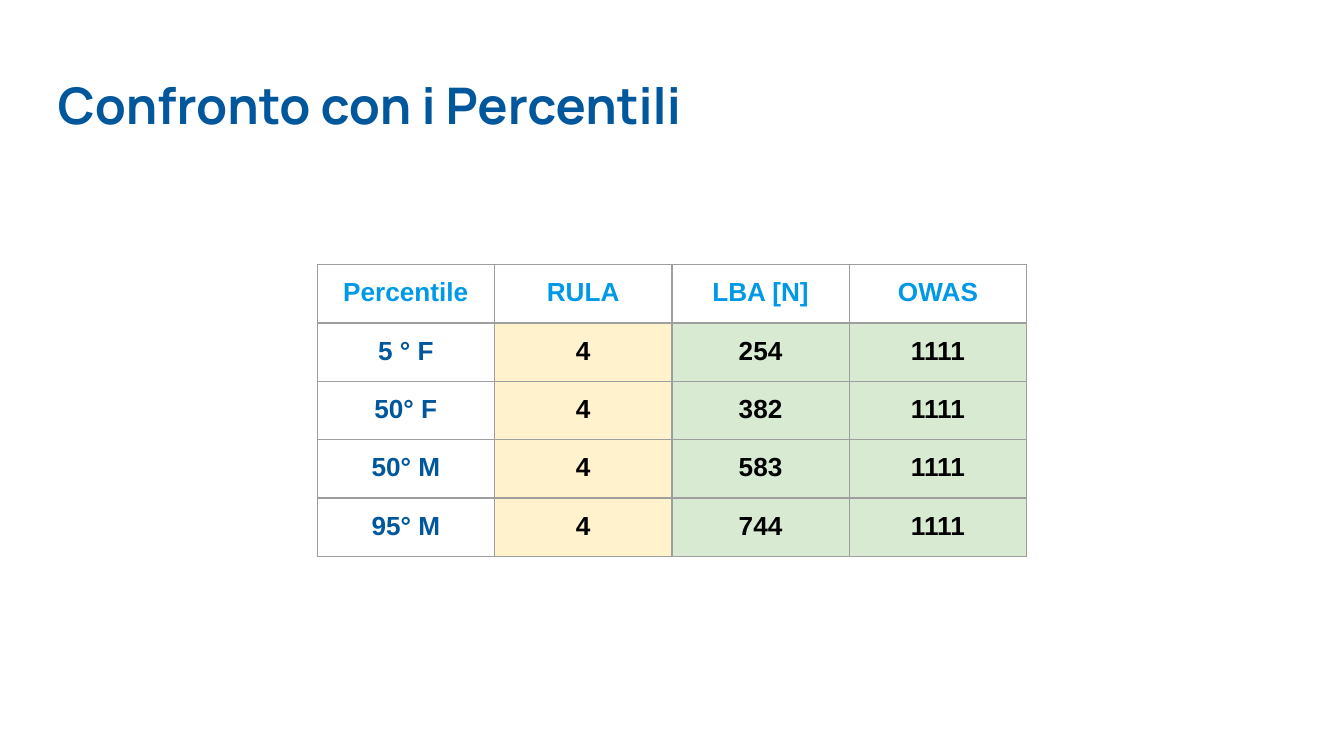
from lxml.etree import SubElement
from pptx import Presentation
from pptx.dml.color import RGBColor as RGB
from pptx.enum.text import MSO_ANCHOR as Anchor, PP_ALIGN as Align
from pptx.oxml.ns import qn
from pptx.util import Inches, Pt

THEME = {
    "title_font": "Manrope", "title_size": 27,
    "table_font": "Arial", "table_size": 14,
    "navy": "01579B", "sky": "0099E8", "black": "000000",
    "amber": "FFF2CC", "green": "D9EAD3",
    "border": "9E9E9E", "border_width": 0.75,
}
PADDING = Inches(0.1)


def write(frame, text, *, font, size, color, align=Align.LEFT):
    paragraph = frame.paragraphs[0]
    paragraph.alignment = align
    paragraph.line_spacing = 1.0
    run = paragraph.add_run()
    run.text = text
    run.font.name, run.font.size, run.font.bold = font, Pt(size), True
    run.font.color.rgb = RGB.from_string(color)


def draw_borders(cell):
    properties = cell._tc.get_or_add_tcPr()
    for position, side in enumerate(("a:lnL", "a:lnR", "a:lnT", "a:lnB")):
        line = SubElement(properties, qn(side), w=str(Pt(THEME["border_width"])))
        fill = SubElement(line, qn("a:solidFill"))
        SubElement(fill, qn("a:srgbClr"), val=THEME["border"])
        properties.insert(position, line)  # borders come before the cell fill


# Widescreen slide, 16:9
deck = Presentation()
deck.slide_width = Inches(10)
deck.slide_height = deck.slide_width * 9 // 16
slide = deck.slides.add_slide(deck.slide_layouts[6])

# Title
heading = slide.shapes.add_textbox(
    Inches(0.33), Inches(0.45), Inches(9.32), Inches(0.7)).text_frame
heading.word_wrap = True
heading.margin_left = heading.margin_right = PADDING
heading.margin_top = heading.margin_bottom = PADDING
write(heading, "Confronto con i Percentili", font=THEME["title_font"],
      size=THEME["title_size"], color=THEME["navy"])

# Ergonomic scores by percentile, centred across the slide
scores = [
    ("Percentile", "RULA", "LBA [N]", "OWAS"),
    ("5 ° F", "4", "254", "1111"),
    ("50° F", "4", "382", "1111"),
    ("50° M", "4", "583", "1111"),
    ("95° M", "4", "744", "1111"),
]
column_fills = (None, THEME["amber"], THEME["green"], THEME["green"])
column_width, row_height = Inches(1.32), Pt(30)
table_width = column_width * len(column_fills)
table = slide.shapes.add_table(
    len(scores), len(column_fills), (deck.slide_width - table_width) // 2,
    Inches(1.97), table_width, row_height * len(scores)).table
table.first_row = table.horz_banding = False
for column in table.columns:
    column.width = column_width

for r, row_scores in enumerate(scores):
    table.rows[r].height = row_height
    for c, score in enumerate(row_scores):
        cell = table.cell(r, c)
        cell.margin_left = cell.margin_right = PADDING
        cell.margin_top = cell.margin_bottom = PADDING
        cell.vertical_anchor = Anchor.TOP
        if r and column_fills[c]:
            cell.fill.solid()
            cell.fill.fore_color.rgb = RGB.from_string(column_fills[c])
        else:
            cell.fill.background()
        draw_borders(cell)
        color = "sky" if r == 0 else "navy" if c == 0 else "black"
        write(cell.text_frame, score, font=THEME["table_font"],
              size=THEME["table_size"], color=THEME[color], align=Align.CENTER)

deck.save("out.pptx")
